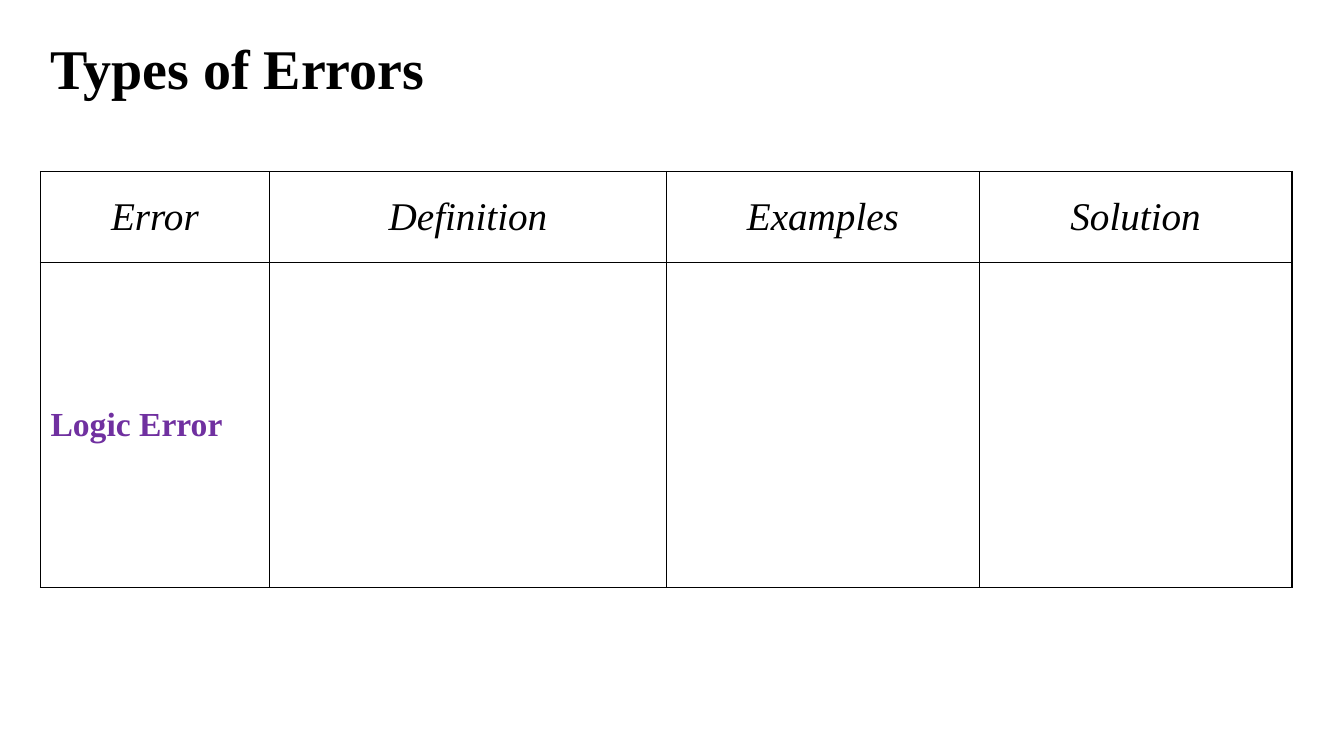
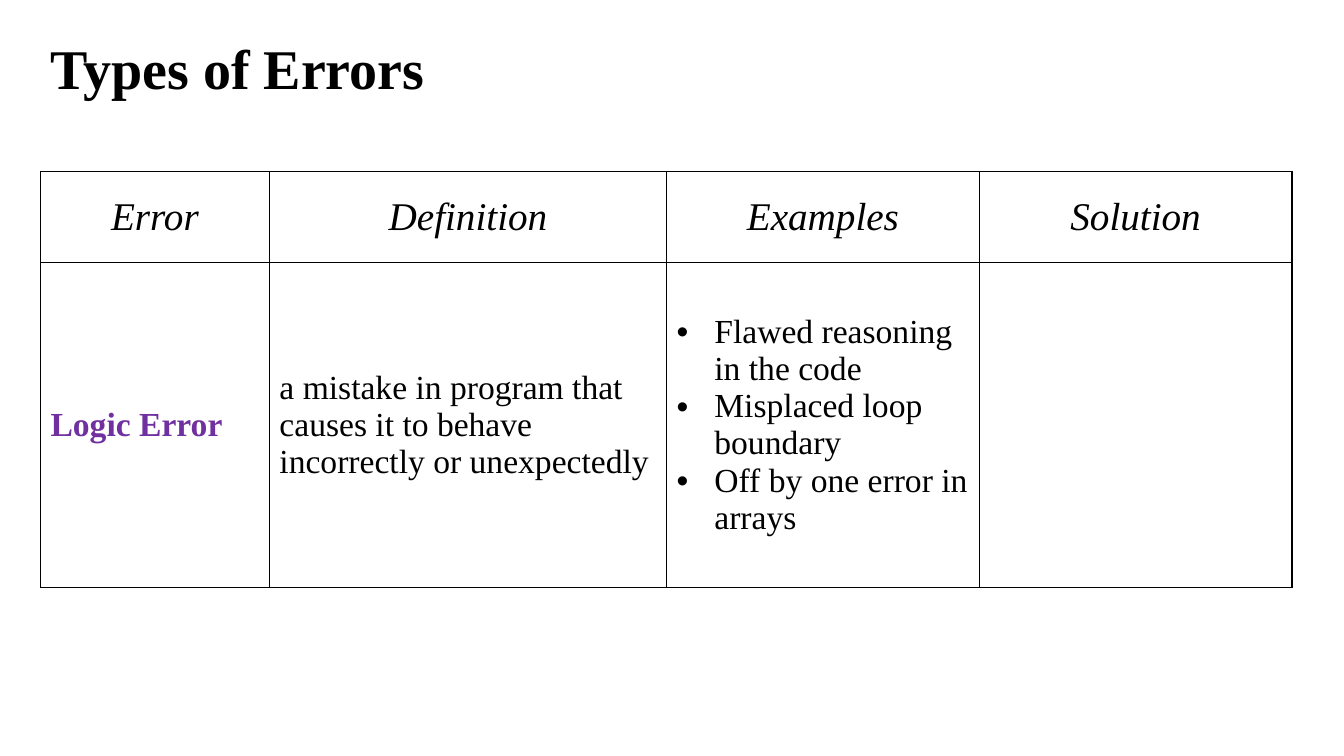
from lxml import etree
from pptx import Presentation
from pptx.dml.color import RGBColor
from pptx.enum.text import MSO_ANCHOR, PP_ALIGN
from pptx.oxml.ns import qn
from pptx.util import Cm, Pt

LEFT, CENTER = PP_ALIGN.LEFT, PP_ALIGN.CENTER
MIDDLE = MSO_ANCHOR.MIDDLE

FONT = "Times New Roman"
COLORS = {"text": "000000", "accent": "7030A0", "background": "FFFFFF", "border": "000000"}
TITLE_ONLY_LAYOUT = 5
MARGIN = Cm(1.02)
BULLET_INDENT = Cm(0.95)
COLUMN_WIDTHS = [Cm(5.77), Cm(10.01), Cm(7.88), Cm(7.88)]
ROW_HEIGHTS = [Cm(2.29), Cm(8.2)]

TITLE = "Types of Errors"
HEADERS = ["Error", "Definition", "Examples", "Solution"]
ERROR_NAME = "Logic Error"
DEFINITION = "a mistake in program that causes it to behave incorrectly or unexpectedly"
EXAMPLES = [
    "Flawed reasoning in the code",
    "Misplaced loop boundary",
    "Off by one error in arrays",
]
SLIDE_ROWS = [
    [ERROR_NAME, "", "", ""],
    [ERROR_NAME, DEFINITION, EXAMPLES, ""],
]


def style_text(text_frame, size, color="text", bold=False, italic=False, align=LEFT):
    for paragraph in text_frame.paragraphs:
        paragraph.alignment = align
        for run in paragraph.runs:
            run.font.name = FONT
            run.font.size = Pt(size)
            run.font.bold = bold
            run.font.italic = italic
            run.font.color.rgb = RGBColor.from_string(COLORS[color])


def frame_cell(cell):
    """Give the cell thin borders on all sides, a plain fill and middle anchoring."""
    properties = cell._tc.get_or_add_tcPr()
    for side in ("a:lnL", "a:lnR", "a:lnT", "a:lnB"):
        line = etree.SubElement(properties, qn(side), w=str(Pt(1)))
        fill = etree.SubElement(line, qn("a:solidFill"))
        etree.SubElement(fill, qn("a:srgbClr"), val=COLORS["border"])
    cell.fill.solid()
    cell.fill.fore_color.rgb = RGBColor.from_string(COLORS["background"])
    cell.vertical_anchor = MIDDLE


presentation = Presentation()
presentation.slide_width = Cm(33.87)
presentation.slide_height = Cm(19.05)
layout = presentation.slide_layouts[TITLE_ONLY_LAYOUT]

for error_row in SLIDE_ROWS:
    slide = presentation.slides.add_slide(layout)

    title = slide.shapes.title
    title.left, title.top, title.width, title.height = MARGIN, Cm(0.71), Cm(16.94), Cm(1.96)
    title.text_frame.text = TITLE
    title.text_frame.vertical_anchor = MIDDLE
    style_text(title.text_frame, 40, bold=True)

    table = slide.shapes.add_table(
        len(ROW_HEIGHTS), len(COLUMN_WIDTHS), MARGIN, Cm(4.32),
        sum(COLUMN_WIDTHS), sum(ROW_HEIGHTS),
    ).table
    table.horz_banding = False
    for row, height in zip(table.rows, ROW_HEIGHTS):
        row.height = height

    for index, width in enumerate(COLUMN_WIDTHS):
        table.columns[index].width = width
        header, body = table.cell(0, index), table.cell(1, index)
        frame_cell(header)
        frame_cell(body)

        header.text_frame.text = HEADERS[index]
        style_text(header.text_frame, 28, italic=True, align=CENTER)

        content = error_row[index]
        if isinstance(content, list):
            body.text_frame.text = "\n".join(content)
            for paragraph in body.text_frame.paragraphs:
                properties = paragraph._p.get_or_add_pPr()
                properties.set("marL", str(BULLET_INDENT))
                properties.set("indent", str(-BULLET_INDENT))
                etree.SubElement(properties, qn("a:buFont"), typeface="Arial")
                etree.SubElement(properties, qn("a:buChar"), char="•")
        else:
            body.text_frame.text = content
        is_name = index == 0
        style_text(body.text_frame, 24, color="accent" if is_name else "text", bold=is_name)

presentation.save("out.pptx")
